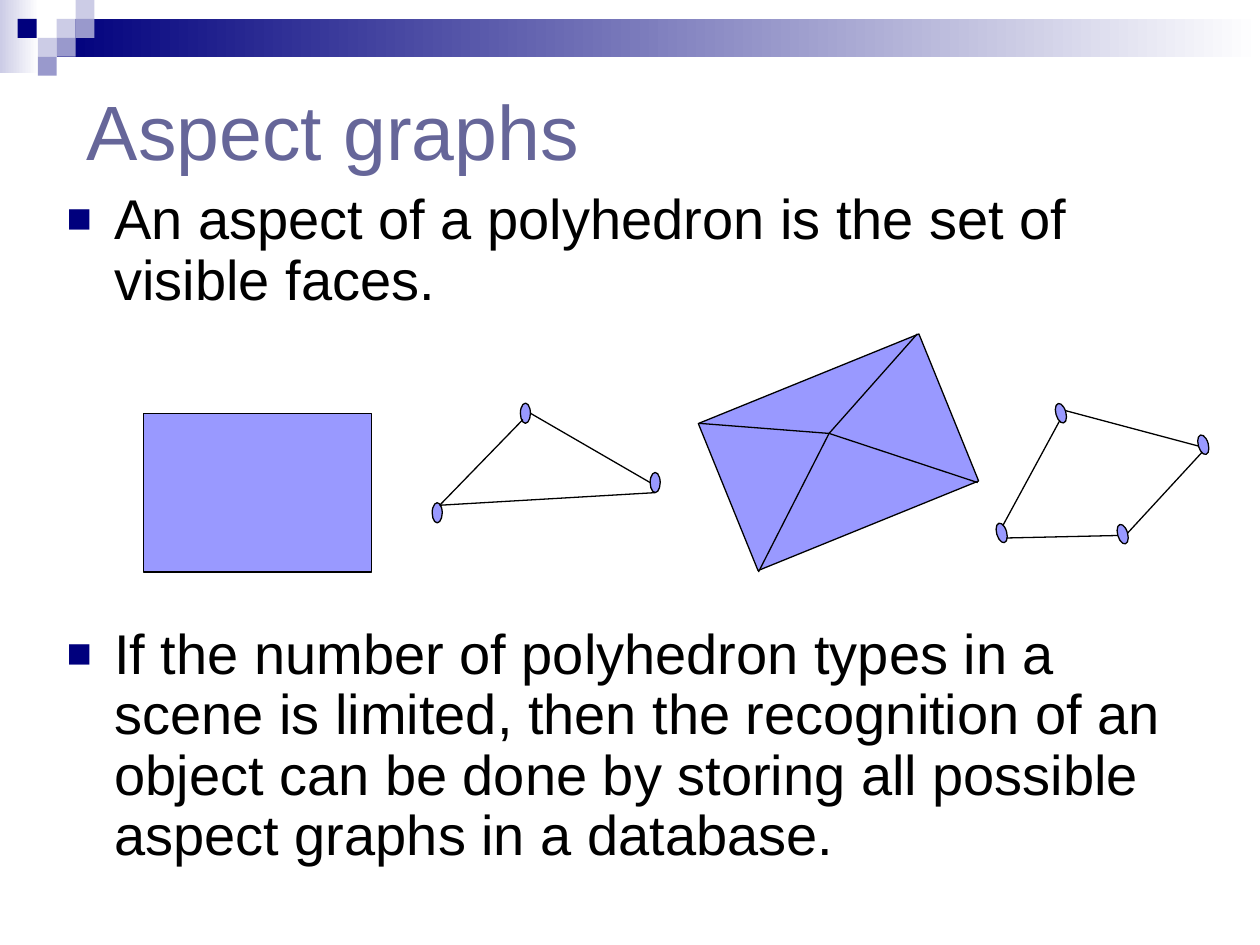
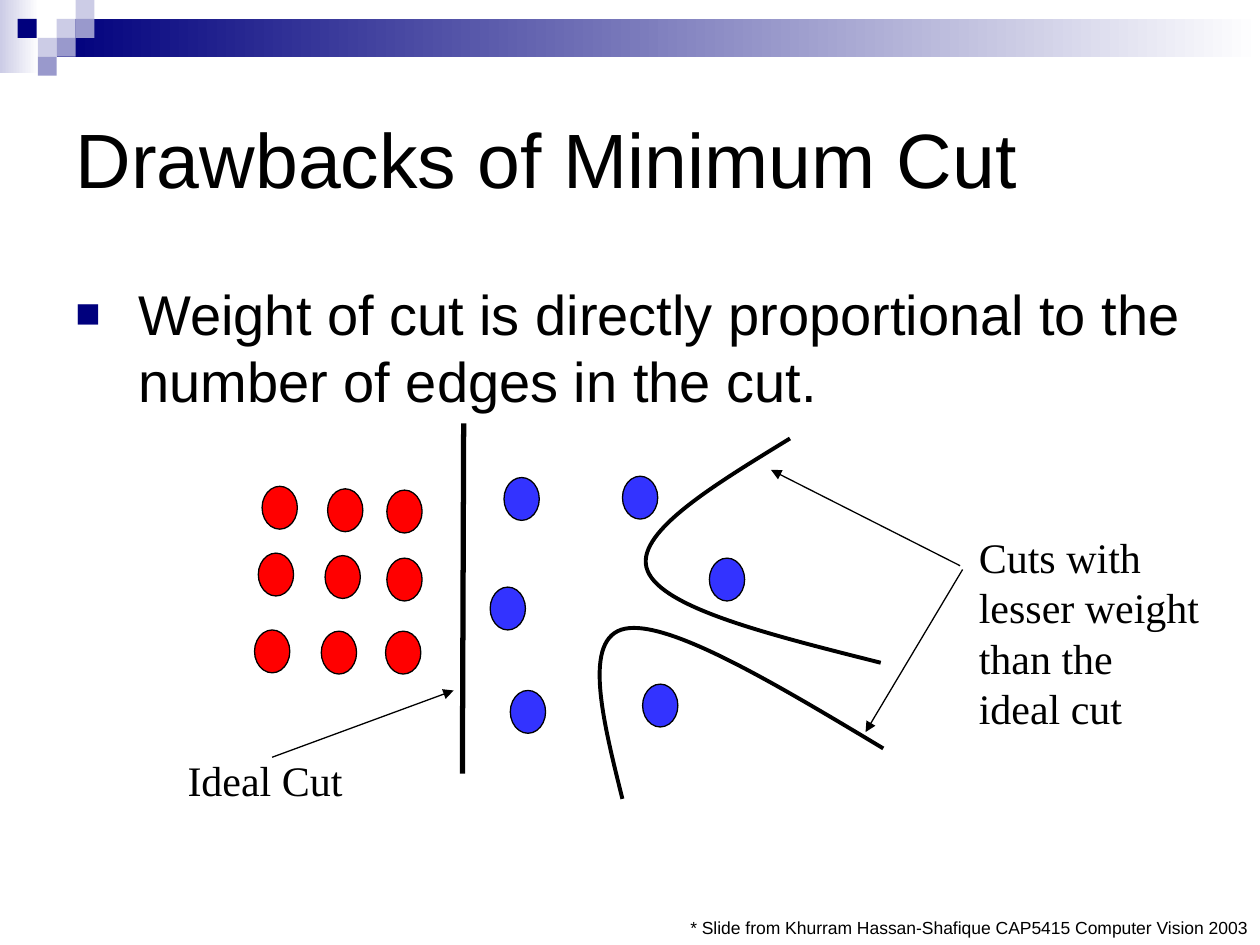
from dataclasses import dataclass
from lxml.etree import SubElement
from pptx import Presentation
from pptx.dml.color import RGBColor
from pptx.enum.shapes import MSO_CONNECTOR, MSO_SHAPE
from pptx.enum.text import MSO_ANCHOR, PP_ALIGN
from pptx.oxml.ns import qn
from pptx.util import Pt

PX = 9144  # 100 px to the inch


@dataclass(frozen=True)
class Theme:
    navy: str = "00007D"
    pale: str = "CCCCE6"
    mid: str = "9999CC"
    white: str = "FFFFFF"
    ink: str = "000000"
    slate: str = "666699"
    face: str = "9999FF"
    red: str = "FF0000"
    blue: str = "3333FF"
    sans: str = "Arial"
    serif: str = "Times New Roman"
    title: int = 44
    body: int = 32
    label: int = 24
    note: int = 10
    thin: float = 0.75
    curve: float = 2.25
    thick: float = 3


T = Theme()

# Header: fading bars, then squares on a 15 px step
BARS = [((0, 0, 31, 58), T.pale), ((45, 15, 955, 30), T.navy)]
SIDE = 15
TILES = [
    (45, 15, T.pale), (60, 0, T.pale), (60, 15, T.mid), (30, 30, T.pale),
    (14, 15, T.navy), (45, 30, T.mid), (30, 45, T.mid),
]

ASPECT = {
    "title": "Aspect graphs",
    "points": [
        "An aspect of a polyhedron is the set of visible faces.",
        "If the number of polyhedron types in a scene is limited, then the "
        "recognition of an object can be done by storing all possible aspect "
        "graphs in a database.",
    ],
}
FRONT = (114, 328, 181, 126)
TILTED = (571, 296, 189, 126)
TILT = -22.1
APEX = (658, 344)
CORNERS = [(555, 336), (728, 265), (776, 383), (602, 454)]
NODE = (8, 16)
# Each aspect graph: tilt of its nodes, their places, and the edges
GRAPHS = [
    (0, [(413, 320), (516, 375), (343, 399)],
     [(520, 391, 349, 401), (415, 333, 349, 401), (421, 328, 516, 383)]),
    (-16, [(838, 320), (951, 345), (791, 415), (887, 416)],
     [(841, 334, 796, 417), (846, 326, 951, 354),
      (799, 427, 887, 425), (895, 423, 954, 359)]),
]

CUT = {
    "title": "Drawbacks of Minimum Cut",
    "points": ["Weight of cut is directly proportional to the number of edges "
               "in the cut."],
}
DOT = (28, 34)
DOTS = {
    T.red: [(208, 386), (260, 388), (307, 389),
            (205, 439), (258, 441), (307, 443),
            (202, 500), (255, 501), (306, 501)],
    T.blue: [(400, 379), (494, 378), (389, 466), (563, 443), (405, 548),
             (510, 543)],
}
IDEAL = (368, 336, 367, 614)
CURVES = [  # start, then three points to each Bezier piece
    [(627, 348), (565, 386), (502, 424), (514, 453),
     (526, 483), (612, 504), (699, 526)],
    [(701, 594), (616, 543), (531, 492), (496, 499),
     (462, 506), (478, 570), (494, 634)],
]
ARROWS = [(216, 601, 360, 548), (762, 449, 612, 373), (764, 452, 687, 581)]
LABELS = [
    ((139, 594, 143, 50), ["Ideal Cut"], T.serif, T.label),
    ((767, 417, 195, 170),
     ["Cuts with", "lesser weight", "than the", "ideal cut"], T.serif, T.label),
    ((538, 723, 462, 27),
     ["* Slide from Khurram Hassan-Shafique CAP5415 Computer Vision 2003"],
     T.sans, T.note),
]


def emu(nums):
    return [n * PX for n in nums]


def rgb(code):
    return RGBColor.from_string(code)


def shape(slide, kind, box, fill, fade=False, line=True, turn=0):
    item = slide.shapes.add_shape(kind, *emu(box))
    item.shadow.inherit = False
    item.rotation = turn
    if fade:
        item.fill.gradient()
        item.fill.gradient_angle = 180
        for stop, code in zip(item.fill.gradient_stops, (T.white, fill)):
            stop.color.rgb = rgb(code)
    else:
        item.fill.solid()
        item.fill.fore_color.rgb = rgb(fill)
    if line:
        pen(item, T.thin)
    else:
        item.line.fill.background()
    return item


def pen(item, width):
    item.line.color.rgb = rgb(T.ink)
    item.line.width = Pt(width)


def line(slide, ends, width=T.thin, arrow=False):
    item = slide.shapes.add_connector(MSO_CONNECTOR.STRAIGHT, *emu(ends))
    pen(item, width)
    SubElement(item._element.spPr, qn("a:effectLst"))
    if arrow:
        SubElement(item.line._get_or_add_ln(), qn("a:tailEnd"), type="triangle")


def curve(slide, points):
    """Draw an open path through cubic Bezier pieces."""
    build = slide.shapes.build_freeform(*points[0], scale=PX)
    build.add_line_segments(points[1:], close=False)
    item = build.convert_to_shape()
    item.shadow.inherit = False
    item.fill.background()
    pen(item, T.curve)
    steps = list(item._element.iter(qn("a:lnTo")))
    for i in range(0, len(steps), 3):
        bend = SubElement(steps[i].getparent(), qn("a:cubicBezTo"))
        for step in steps[i:i + 3]:
            bend.append(step[0])
            step.getparent().remove(step)


def bullet(para, indent):
    props = para._p.get_or_add_pPr()
    props.set("marL", str(indent * PX))
    props.set("indent", str(-indent * PX))
    SubElement(SubElement(props, qn("a:buClr")), qn("a:srgbClr"), val=T.navy)
    SubElement(props, qn("a:buSzPct"), val="75000")
    SubElement(props, qn("a:buFont"), typeface=T.sans)
    SubElement(props, qn("a:buChar"), char="■")


def write(item, lines, size, font=T.sans, color=T.ink, wrap=True, indent=0,
          pitch=None, gap=0, anchor=MSO_ANCHOR.TOP):
    frame = item.text_frame
    frame.word_wrap = wrap
    frame.vertical_anchor = anchor
    for i, words in enumerate(lines):
        para = frame.paragraphs[0] if i == 0 else frame.add_paragraph()
        if indent:
            bullet(para, indent)
        para.alignment = PP_ALIGN.LEFT
        para.line_spacing = pitch
        if i and gap:
            para.space_before = Pt(gap)
        run = para.add_run()
        run.text = words
        run.font.size = Pt(size)
        run.font.name = font
        run.font.color.rgb = rgb(color)


def place(item, box):
    item.left, item.top, item.width, item.height = emu(box)


def start(deck, text, head, body, color=T.ink, **form):
    """Add a slide with the shared header, its title and its bullets."""
    slide = deck.slides.add_slide(deck.slide_layouts[5])
    for box, tint in BARS:
        shape(slide, MSO_SHAPE.RECTANGLE, box, tint, fade=True, line=False)
    for x, y, tint in TILES:
        shape(slide, MSO_SHAPE.RECTANGLE, (x, y, SIDE, SIDE), tint, line=False)
    title = slide.shapes.title
    place(title, head)
    write(title, [text["title"]], T.title, color=color, anchor=MSO_ANCHOR.MIDDLE)
    write(slide.shapes.add_textbox(*emu(body)), text["points"], T.body, **form)
    return slide


def aspect(deck):
    slide = start(deck, ASPECT, (59, 28, 900, 150), (43, 147, 923, 551),
                  color=T.slate, indent=38, pitch=0.9, gap=179)
    shape(slide, MSO_SHAPE.RECTANGLE, FRONT, T.face)
    shape(slide, MSO_SHAPE.RECTANGLE, TILTED, T.face, turn=TILT)
    for corner in CORNERS:
        line(slide, APEX + corner)
    for turn, nodes, edges in GRAPHS:
        for node in nodes:
            shape(slide, MSO_SHAPE.OVAL, node + NODE, T.face, turn=turn)
        for edge in edges:
            line(slide, edge)


def cut(deck):
    slide = start(deck, CUT, (50, 50, 900, 150), (50, 217, 900, 425), indent=50)
    for tint, spots in DOTS.items():
        for spot in spots:
            shape(slide, MSO_SHAPE.OVAL, spot + DOT, tint)
    line(slide, IDEAL, T.thick)
    for points in CURVES:
        curve(slide, points)
    for ends in ARROWS:
        line(slide, ends, arrow=True)
    for box, lines, font, size in LABELS:
        write(slide.shapes.add_textbox(*emu(box)), lines, size, font=font,
              wrap=False)


def main():
    deck = Presentation()
    deck.slide_width, deck.slide_height = emu((1000, 750))
    aspect(deck)
    cut(deck)
    deck.save("out.pptx")


if __name__ == "__main__":
    main()
